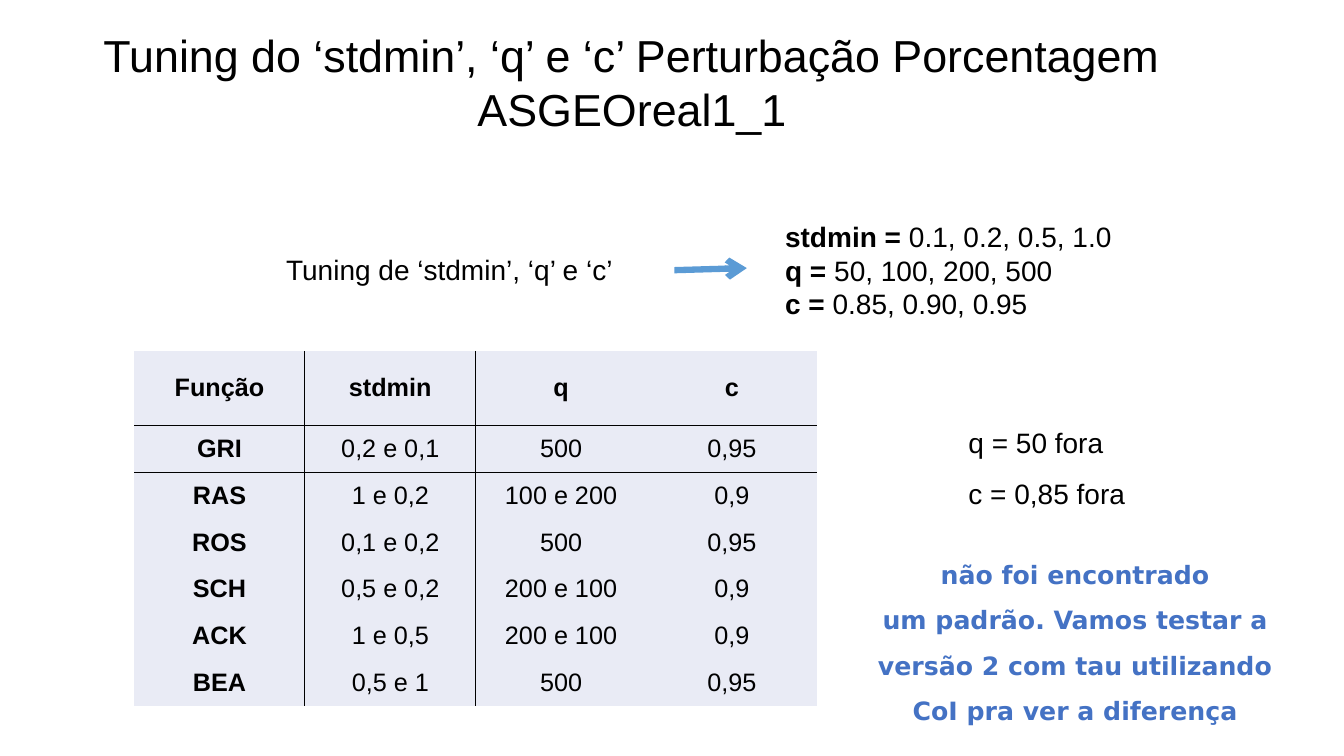
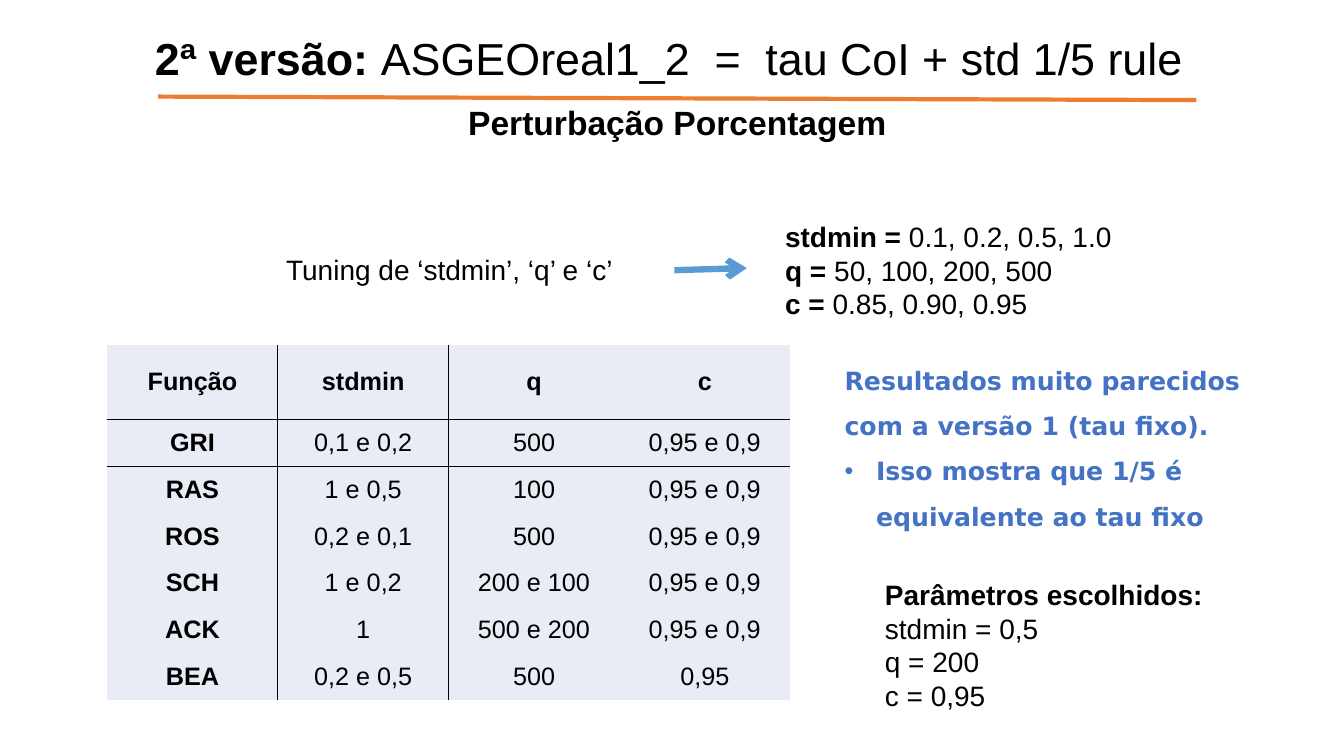
from lxml import etree
from pptx import Presentation
from pptx.dml import color
from pptx.enum import shapes, text
from pptx.oxml import ns
from pptx.util import Pt

# Shared style
BLACK, BLUE, ARROW, ORANGE, CELL = "000000", "4472C4", "5B9BD5", "ED7D31", "E9EBF5"
BODY, NOTE = "Arial", "DejaVu Sans"
TITLE_SIZE, SUBTITLE_SIZE, BODY_SIZE, SMALL_SIZE = 32, 24, 20, 18
LEFT, CENTER = text.PP_ALIGN.LEFT, text.PP_ALIGN.CENTER

# Table geometry
COL_W, HEAD_H, ROW_H = 122, 53.3, 33.4
HEADER = ["Função", "stdmin", "q", "c"]


def rgb(value):
    return color.RGBColor.from_string(value)


def sub(parent, tag, **attrs):
    return etree.SubElement(parent, ns.qn(tag), attrs)


def style_run(r, size, font, fill, bold):
    r.font.size = Pt(size)
    r.font.name = font
    r.font.bold = bold
    r.font.color.rgb = rgb(fill)


def add_bullet(p, indent):
    """Hang a round bullet in front of the paragraph."""
    pPr = p._p.get_or_add_pPr()
    pPr.set("marL", str(Pt(indent)))
    pPr.set("indent", str(-Pt(indent)))
    sub(pPr, "a:buFont", typeface=BODY)
    sub(pPr, "a:buChar", char="•")


def add_text(s, box, paragraphs, size=BODY_SIZE, font=BODY, fill=BLACK,
             align=LEFT, spacing=None, bullets=()):
    """Each paragraph is a list of (text, bold) runs."""
    tf = s.shapes.add_textbox(*map(Pt, box)).text_frame
    tf.word_wrap = True
    tf.auto_size = text.MSO_AUTO_SIZE.SHAPE_TO_FIT_TEXT
    for i, runs in enumerate(paragraphs):
        p = tf.add_paragraph() if i else tf.paragraphs[0]
        p.alignment = align
        if spacing:
            p.line_spacing = spacing
        if i in bullets:
            add_bullet(p, 22.5)
        for words, bold in runs:
            r = p.add_run()
            r.text = words
            style_run(r, size, font, fill, bold)


def add_line(s, start, end, fill, width, arrow=False):
    line = s.shapes.add_connector(shapes.MSO_CONNECTOR.STRAIGHT, *map(Pt, start + end))
    line.line.color.rgb = rgb(fill)
    line.line.width = Pt(width)
    if arrow:
        sub(line.line._get_or_add_ln(), "a:tailEnd", type="arrow")
    sub(line._element.spPr, "a:effectLst")


def set_borders(cell, ruled):
    """Rule the named sides in black and clear the others."""
    tcPr = cell._tc.get_or_add_tcPr()
    for side in "LRTB":
        ln = sub(tcPr, f"a:ln{side}", w=str(Pt(1)))
        if side in ruled:
            sub(sub(ln, "a:solidFill"), "a:srgbClr", val=BLACK)
        else:
            sub(ln, "a:noFill")


def add_results(s, left, top, rows):
    data = [HEADER] + rows
    n_cols = len(HEADER)
    table = s.shapes.add_table(len(data), n_cols, Pt(left), Pt(top), Pt(COL_W * n_cols),
                               Pt(HEAD_H + ROW_H * len(rows))).table
    for col in table.columns:
        col.width = Pt(COL_W)
    for i, values in enumerate(data):
        table.rows[i].height = Pt(ROW_H if i else HEAD_H)
        for j, value in enumerate(values):
            cell = table.cell(i, j)
            # Rules follow the first two columns and the first two rows
            sides = {"L": j in (1, 2), "R": j in (0, 1), "T": i in (1, 2), "B": i in (0, 1)}
            set_borders(cell, [side for side, on in sides.items() if on])
            cell.fill.solid()
            cell.fill.fore_color.rgb = rgb(CELL)
            cell.vertical_anchor = text.MSO_ANCHOR.MIDDLE
            p = cell.text_frame.paragraphs[0]
            p.text = value
            p.alignment = CENTER
            style_run(p.runs[0], SMALL_SIZE, BODY, BLACK, i == 0 or j == 0)


def add_tuning(s):
    """Tested values, the same on both slides."""
    add_text(s, (172.8, 177, 296.6, 31.5), [[("Tuning de ‘stdmin’, ‘q’ e ‘c’", False)]],
             align=CENTER)
    add_line(s, (481.7, 193), (533.5, 191.5), ARROW, 4.5, arrow=True)
    add_text(s, (553.7, 153.3, 296.6, 80), [
        [("stdmin =", True), (" 0.1, 0.2, 0.5, 1.0", False)],
        [("q = ", True), ("50, 100, 200, 500", False)],
        [("c =", True), (" 0.85, 0.90, 0.95", False)]])


def add_title(s, left, top, height, runs):
    add_text(s, (left, top, 831, height), [runs], size=TITLE_SIZE, align=CENTER)


def add_note(s, left, top, paragraphs, **kw):
    add_text(s, (left, top, 311.8, 138.2), [[(words, True)] for words in paragraphs],
             size=SMALL_SIZE, font=NOTE, fill=BLUE, spacing=1.5, **kw)


def first_version(s):
    add_title(s, 36, 16.5, 85, [
        ("Tuning do ‘stdmin’, ‘q’ e ‘c’ Perturbação Porcentagem ASGEOreal1_1", False)])
    add_results(s, 95.8, 250.6, [
        ["GRI", "0,2 e 0,1", "500", "0,95"],
        ["RAS", "1 e 0,2", "100 e 200", "0,9"],
        ["ROS", "0,1 e 0,2", "500", "0,95"],
        ["SCH", "0,5 e 0,2", "200 e 100", "0,9"],
        ["ACK", "1 e 0,5", "200 e 100", "0,9"],
        ["BEA", "0,5 e 1", "500", "0,95"]])
    add_tuning(s)
    add_text(s, (684.7, 288.7, 165.6, 80),
             [[("q = 50 fora", False)], [("c = 0,85 fora", False)]], spacing=1.5)
    add_note(s, 612, 385.2, [
        "não foi encontrado",
        "um padrão. Vamos testar a versão 2 com tau utilizando CoI pra ver a diferença"],
        align=CENTER)


def second_version(s):
    add_results(s, 76.5, 246.3, [
        ["GRI", "0,1 e 0,2", "500", "0,95 e 0,9"],
        ["RAS", "1 e 0,5", "100", "0,95 e 0,9"],
        ["ROS", "0,2 e 0,1", "500", "0,95 e 0,9"],
        ["SCH", "1 e 0,2", "200 e 100", "0,95 e 0,9"],
        ["ACK", "1", "500 e 200", "0,95 e 0,9"],
        ["BEA", "0,2 e 0,5", "500", "0,95"]])
    add_tuning(s)
    # Underlined title with subtitle
    add_title(s, 62.6, 18.7, 46, [
        ("2ª versão: ", True), ("ASGEOreal1_2  =  tau CoI + std 1/5 rule", False)])
    add_line(s, (113, 69), (854.6, 71.5), ORANGE, 3)
    add_text(s, (213.8, 69.1, 540, 36), [[("Perturbação Porcentagem", True)]],
             size=SUBTITLE_SIZE, align=CENTER)
    # Conclusions
    add_text(s, (625, 409, 254.9, 104.4), [
        [("Parâmetros escolhidos:", True)], [("stdmin = 0,5", False)],
        [("q = 200", False)], [("c = 0,95", False)]])
    add_note(s, 596.2, 246.3, [
        "Resultados muito parecidos com a versão 1 (tau fixo).",
        "Isso mostra que 1/5 é equivalente ao tau fixo"], bullets=(1,))


def main():
    prs = Presentation()
    prs.slide_width, prs.slide_height = Pt(960), Pt(540)
    for build in (first_version, second_version):
        build(prs.slides.add_slide(prs.slide_layouts[6]))
    prs.save("out.pptx")


if __name__ == "__main__":
    main()
